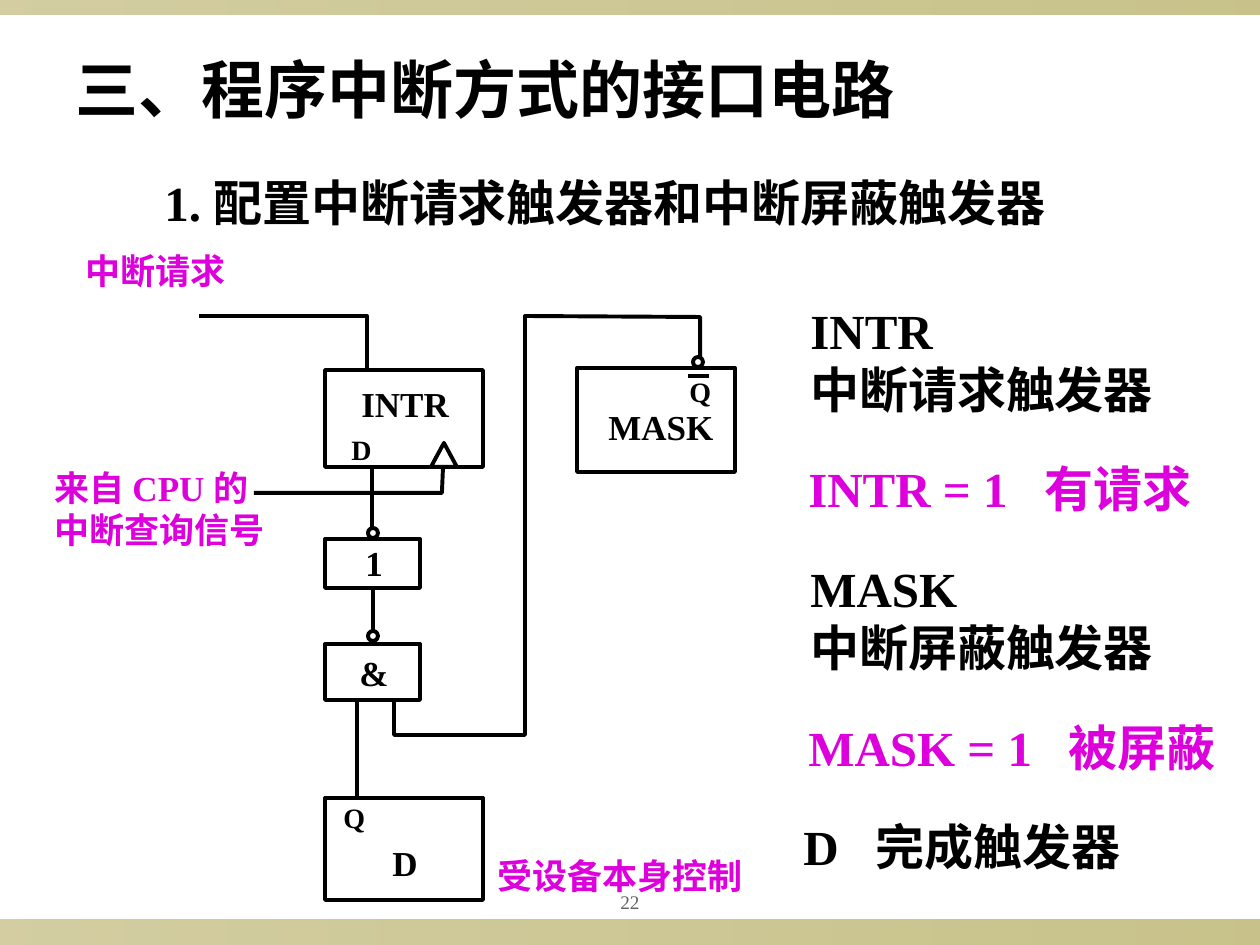
from lxml.etree import SubElement
from pptx import Presentation
from pptx.dml.color import RGBColor
from pptx.enum.shapes import MSO_CONNECTOR, MSO_SHAPE
from pptx.enum.text import MSO_ANCHOR, MSO_AUTO_SIZE, PP_ALIGN
from pptx.oxml.ns import qn
from pptx.util import Emu, Pt

EMU_PER_PX = 914400 / 126
FONT = "Times New Roman"
COLORS = {"ink": "000000", "accent": "DD00DD", "number": "636363", "bar": "918415"}


def px(value):
    return Emu(round(value * EMU_PER_PX))


def color(name):
    return RGBColor.from_string(COLORS[name])


def write(box, text, size, ink="ink", bold=True, align=PP_ALIGN.LEFT, tab=None):
    """Fill a box with one paragraph per line; tab is a stop in px."""
    frame = box.text_frame
    frame.text = text
    frame.word_wrap = tab is not None
    frame.auto_size = MSO_AUTO_SIZE.SHAPE_TO_FIT_TEXT
    frame.vertical_anchor = MSO_ANCHOR.TOP
    for paragraph in frame.paragraphs:
        paragraph.alignment = align
        if tab is not None:
            properties = paragraph._p.get_or_add_pPr()
            stops = SubElement(properties, qn("a:tabLst"))
            SubElement(stops, qn("a:tab"), pos=str(px(tab)), algn="l")
        font = paragraph.font
        font.name, font.size, font.bold = FONT, Pt(size), bold
        font.color.rgb = color(ink)


def add_label(page, area, text, size, **style):
    box = page.shapes.add_textbox(*map(px, area))
    write(box, text, size, **style)
    return box


def add_title(page, area, text):
    title = page.shapes.title
    title.left, title.top, title.width, title.height = map(px, area)
    write(title, text, 36)


def add_bar(page, top, height):
    bar = page.shapes.add_shape(MSO_SHAPE.RECTANGLE, *map(px, (0, top, 1260, height)))
    bar.shadow.inherit = False
    bar.line.fill.background()
    bar.fill.gradient()
    bar.fill.gradient_angle = 0
    for stop in bar.fill.gradient_stops:
        stop.color.rgb = color("bar")
    for element, opacity in zip(bar._element.spPr.iter(qn("a:srgbClr")), (40, 50)):
        SubElement(element, qn("a:alpha"), val=str(opacity * 1000))


def stroke(shape):
    shape.line.color.rgb = color("ink")
    shape.line.width = Pt(2.25)


def add_outline(page, kind, *area):
    shape = page.shapes.add_shape(kind, *map(px, area))
    shape.shadow.inherit = False
    shape.fill.background()
    stroke(shape)


def add_line(page, *ends):
    line = page.shapes.add_connector(MSO_CONNECTOR.STRAIGHT, *map(px, ends))
    stroke(line)
    SubElement(line._element.spPr, qn("a:effectLst"))


def add_wire(page, start, *corners):
    """Draw an open wire with bends."""
    builder = page.shapes.build_freeform(*start, scale=EMU_PER_PX)
    builder.add_line_segments(corners, close=False)
    wire = builder.convert_to_shape()
    wire.shadow.inherit = False
    wire.fill.background()
    stroke(wire)


def draw_circuit(page):
    blocks = [(325, 370, 158, 97), (577, 368, 158, 104), (325, 539, 95, 49),
              (325, 644, 95, 56), (325, 798, 158, 102)]
    for block in blocks:
        add_outline(page, MSO_SHAPE.RECTANGLE, *block)
    for left, top in [(693, 357), (368, 528), (368, 631)]:
        add_outline(page, MSO_SHAPE.OVAL, left, top, 10, 10)
    add_outline(page, MSO_SHAPE.ISOSCELES_TRIANGLE, 431, 443, 26, 24)

    add_line(page, 372, 467, 372, 529)
    add_line(page, 373, 588, 373, 632)
    add_line(page, 357, 700, 357, 798)
    add_line(page, 688, 376, 709, 376)
    add_wire(page, (367, 370), (367, 316), (199, 316))
    add_wire(page, (254, 493), (442, 493), (443, 469))
    add_wire(page, (394, 700), (394, 735), (525, 735), (525, 316), (700, 317), (700, 358))

    for area, text, size in [
        ((349, 376, 125, 55), "INTR", 20),
        ((339, 426, 52, 47), "D", 16),
        ((596, 399, 138, 55), "MASK", 20),
        ((677, 368, 52, 47), "Q", 16),
        ((353, 535, 48, 55), "1", 20),
        ((347, 645, 60, 55), "&", 20),
        ((331, 794, 52, 47), "Q", 16),
        ((380, 835, 56, 55), "D", 20),
    ]:
        add_label(page, area, text, size)
    for area, text in [
        ((73, 243, 175, 55), "中断请求"),
        ((42, 460, 246, 97), "来自 CPU 的\n中断查询信号"),
        ((485, 848, 280, 55), "受设备本身控制"),
    ]:
        add_label(page, area, text, 20, ink="accent")


def write_legend(page):
    for top, name, meaning in [(294, "INTR", "中断请求触发器"), (552, "MASK", "中断屏蔽触发器")]:
        add_label(page, (798, top, 378, 131), f"{name}\n{meaning}", 28)
    for top, state, stop in [(452, "INTR = 1\t有请求", 236), (711, "MASK = 1\t被屏蔽", 260)]:
        add_label(page, (796, top, 464, 72), state, 28, ink="accent", tab=stop)
    add_label(page, (791, 810, 360, 72), "D\t完成触发器", 28, tab=72)


def main():
    deck = Presentation()
    deck.slide_width, deck.slide_height = px(1260), px(945)
    page = deck.slides.add_slide(deck.slide_layouts[5])
    add_bar(page, 920, 25)
    add_bar(page, 0, 15)
    add_title(page, (63, 44, 870, 88), "三、程序中断方式的接口电路")
    add_label(page, (152, 166, 940, 72), "1. 配置中断请求触发器和中断屏蔽触发器", 28)
    draw_circuit(page)
    write_legend(page)
    number = add_label(page, (567, 882, 126, 39), "22", 11,
                       ink="number", bold=False, align=PP_ALIGN.CENTER)
    number.text_frame.vertical_anchor = MSO_ANCHOR.MIDDLE
    deck.save("out.pptx")


if __name__ == "__main__":
    main()
